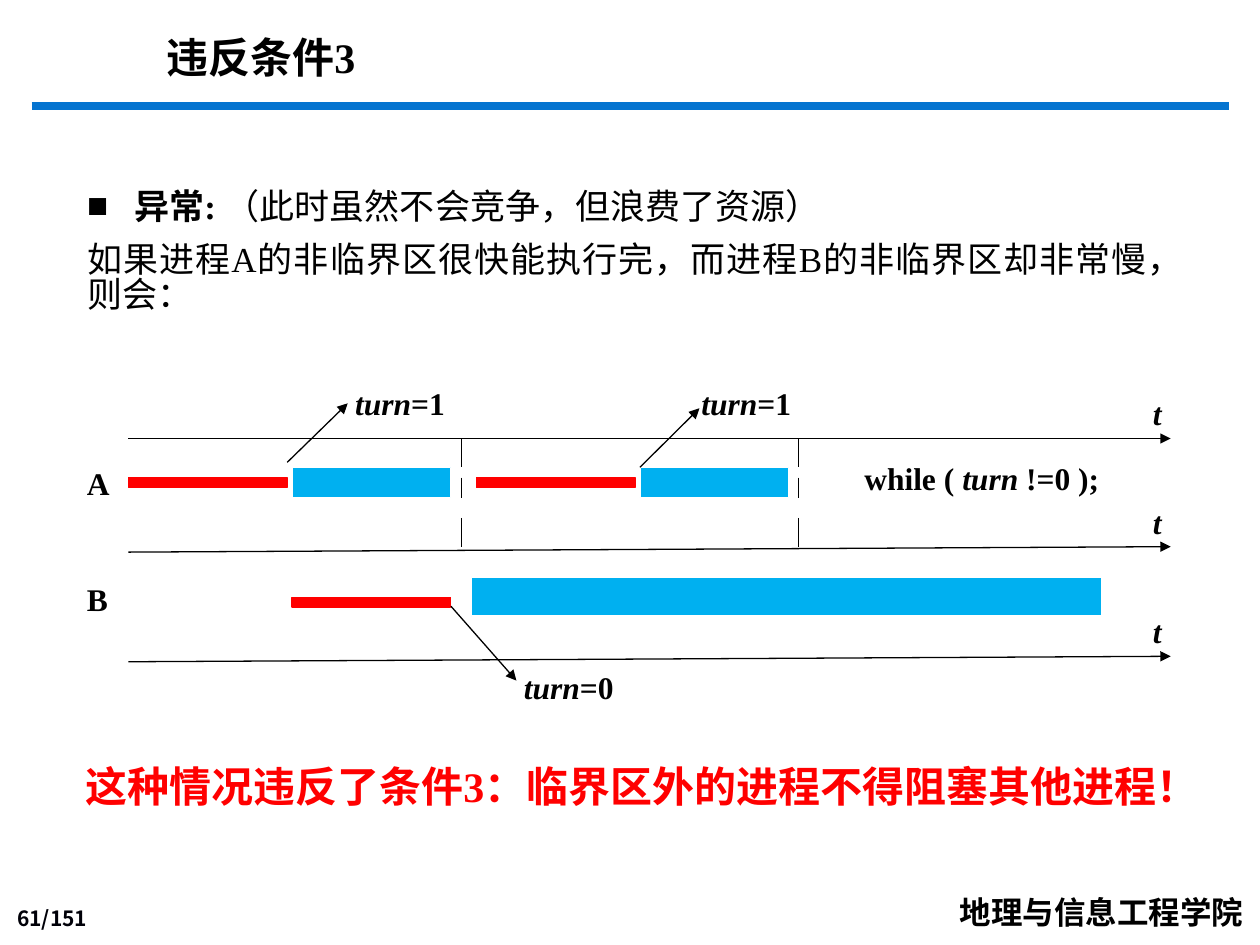
from lxml.etree import SubElement
from pptx import Presentation
from pptx.dml.color import RGBColor
from pptx.enum.shapes import MSO_CONNECTOR as Link, MSO_SHAPE as Form
from pptx.enum.text import MSO_ANCHOR as Anchor, MSO_AUTO_SIZE as Fit, PP_ALIGN as Align
from pptx.oxml.ns import qn
from pptx.util import Cm, Pt

BLACK = RGBColor(0, 0, 0)
INK = RGBColor(0, 0, 8)
WHITE = RGBColor(255, 255, 255)
RED = RGBColor(255, 0, 0)
SKY = RGBColor(0, 0xB0, 0xF0)
BLUE = RGBColor(0x05, 0x74, 0xD0)
SERIF = "Times New Roman"
HAN = "Noto Sans CJK SC"
TIGHT = 0.84  # line spacing for lines of Han text


class Sheet:
    def __init__(self, slide):
        self.slide = slide
        self.shapes = slide.shapes

    def style(self, run, size, bold=True, color=BLACK, face=SERIF, han=HAN):
        font = run.font
        font.name, font.size, font.bold = face, Pt(size), bold
        font.color.rgb = color
        SubElement(run._r.get_or_add_rPr(), qn("a:ea")).set("typeface", han)

    def place(self, shape, x, y, w, h, wrap=True, anchor=Anchor.TOP):
        shape.left, shape.top, shape.width, shape.height = map(Cm, (x, y, w, h))
        frame = shape.text_frame
        frame.auto_size, frame.word_wrap = Fit.NONE, wrap
        frame.vertical_anchor = anchor
        return frame

    def title(self, text, x, y, w, h):
        para = self.place(self.shapes.title, x, y, w, h).paragraphs[0]
        para.text = text
        para.alignment, para.line_spacing = Align.JUSTIFY, TIGHT
        self.style(para.runs[0], 24)

    def body(self, head, note, more, x, y, w, h):
        """Fill the body with a bulleted line (bold head, plain note) and a plain paragraph."""
        frame = self.place(self.slide.placeholders[1], x, y, w, h)
        first, second = frame.paragraphs[0], frame.add_paragraph()
        first.text, second.text = head, more
        first.add_run().text = note
        for para, inset, mark in ((first, Cm(0.95), "■"), (second, 0, None)):
            props = para._p.get_or_add_pPr()
            props.set("marL", str(inset))
            props.set("indent", str(-inset))
            if mark:
                SubElement(props, qn("a:buChar")).set("char", mark)
            else:
                SubElement(props, qn("a:buNone"))
            para.alignment, para.line_spacing = Align.JUSTIFY, TIGHT
            para.space_before = Pt(0 if mark else 10)
            for run in para.runs:
                self.style(run, 20, bold=run.text == head)

    def label(self, text, x, y, w, h=1.02, size=18, align=Align.LEFT, space=None,
              wrap=True, anchor=Anchor.TOP, **look):
        """Add a text box; parts between asterisks are italic."""
        box = self.shapes.add_textbox(0, 0, 0, 0)
        para = self.place(box, x, y, w, h, wrap, anchor).paragraphs[0]
        para.alignment, para.line_spacing = align, space
        for i, part in enumerate(text.split("*")):
            if part:
                run = para.add_run()
                run.text = part
                self.style(run, size, **look)
                run.font.italic = i % 2 == 1

    def bar(self, x, y, w, h, fill, edge):
        shape = self.shapes.add_shape(Form.RECTANGLE, *map(Cm, (x, y, w, h)))
        shape.shadow.inherit = False
        shape.fill.solid()
        shape.fill.fore_color.rgb = fill
        shape.line.color.rgb = edge
        shape.line.width = Pt(0.75)

    def line(self, x1, y1, x2, y2, color=BLACK, width=0.75, arrow=False):
        link = self.shapes.add_connector(Link.STRAIGHT, *map(Cm, (x1, y1, x2, y2)))
        link.line.color.rgb = color
        link.line.width = Pt(width)
        if arrow:
            SubElement(link.line._get_or_add_ln(), qn("a:tailEnd")).set("type", "triangle")
        SubElement(link._element.spPr, qn("a:effectLst"))


def main():
    deck = Presentation()
    deck.slide_width, deck.slide_height = Cm(25.4), Cm(19.05)
    sheet = Sheet(deck.slides.add_slide(deck.slide_layouts[1]))

    sheet.line(0.64, 2.13, 24.77, 2.13, BLUE, 4.5)
    sheet.label("61/151", 0, 18.14, 2.01, 0.74, 12, Align.RIGHT, anchor=Anchor.BOTTOM,
                color=INK, face="Noto Sans CJK JP", han="Noto Sans CJK JP")
    sheet.label("地理与信息工程学院", 19.1, 18.01, 6.27, space=TIGHT, wrap=False, face=HAN)
    sheet.title("违反条件3", 3.1, 0.68, 20.19, 1.27)
    sheet.body("异常: ", "（此时虽然不会竞争，但浪费了资源）",
               "如果进程A的非临界区很快能执行完，而进程B的非临界区却非常慢，则会：",
               1.5, 3.73, 22.6, 3.25)

    # Time axes of the two processes
    for start, end, top in ((8.84, 8.84, 7.82), (11.13, 11.02, 10.01), (13.34, 13.23, 12.22)):
        sheet.line(2.59, start, 23.6, end, arrow=True)
        sheet.label("*t*", 22.99, top, 0.81)
    for name, top in (("A", 9.22), ("B", 11.56)):
        sheet.label(name, 1.5, top, 1.09)

    # Dashed marks where the turn ends
    for x in (9.3, 16.1):
        for top, end in ((8.84, 9.42), (9.63, 10.03), (10.44, 11.02)):
            sheet.line(x, top, x, end)

    # Critical (red) and other (sky) sections
    for x, y in ((2.59, 9.63), (9.6, 9.63), (5.89, 12.04)):
        sheet.bar(x, y, 3.2, 0.2, RED, RED)
    for x, y, w, h in ((5.89, 9.42, 3.2, 0.61), (12.9, 9.42, 3, 0.61), (9.5, 11.63, 12.7, 0.79)):
        sheet.bar(x, y, w, h, SKY, WHITE)

    # Changes of turn
    for text, x, y, ends in (("*turn*=1", 6.91, 7.62, (5.79, 9.32, 7.01, 8.13)),
                             ("*turn*=1", 13.89, 7.62, (12.9, 9.42, 14.1, 8.23)),
                             ("*turn*=0", 10.31, 13.34, (9.09, 12.22, 10.41, 13.72))):
        sheet.line(*ends, arrow=True)
        sheet.label(text, x, y, 3.2)
    sheet.label("while ( *turn* !=0 );", 16.31, 9.12, 6.1, align=Align.RIGHT)

    sheet.label("这种情况违反了条件3：临界区外的进程不得阻塞其他进程！",
                1.47, 15.38, 22.4, 1.27, 24, space=TIGHT, color=RED)
    deck.save("out.pptx")


if __name__ == "__main__":
    main()
